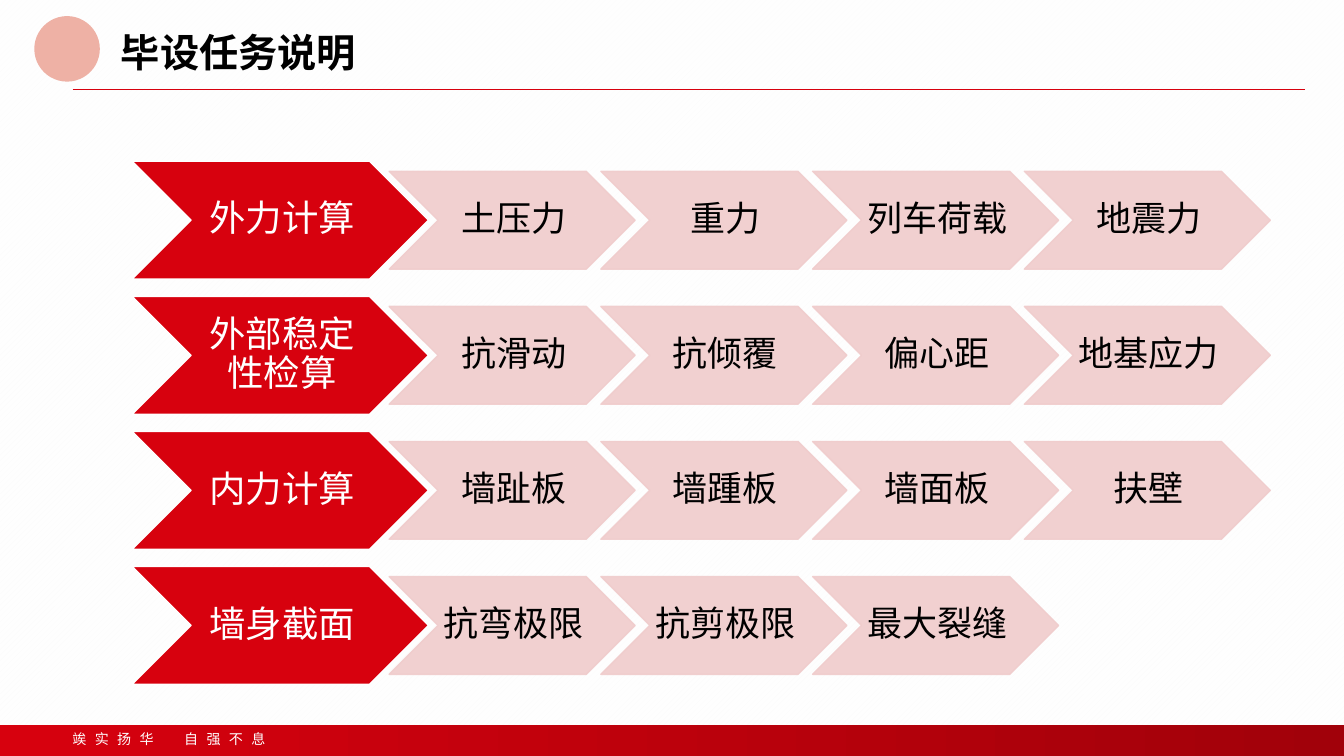
from dataclasses import dataclass

from lxml.etree import SubElement
from pptx import Presentation
from pptx.dml.color import RGBColor
from pptx.enum.dml import MSO_PATTERN
from pptx.enum.shapes import MSO_CONNECTOR, MSO_SHAPE
from pptx.enum.text import MSO_ANCHOR, PP_ALIGN
from pptx.oxml.ns import qn
from pptx.shapes.autoshape import Shape
from pptx.slide import Slide
from pptx.text.text import TextFrame
from pptx.util import Inches, Pt

RED, DARK_RED, PALE_RED, PINK = "D7010E", "A1010A", "F0CCCC", "EEB1A5"
BLACK, WHITE, PALE_GREY = "000000", "FFFFFF", "F2F2F2"
CJK_FONT = "Noto Sans CJK SC"

ROW_TOP, ROW_PITCH = 1.6, 1.34
STEP_LEFT, STEP_PITCH = 3.86, 2.1


@dataclass
class ChevronStyle:
    width: float
    height: float
    fill: str
    line: str
    text: str
    size: int
    left_inset: float
    opacity: int = 100


@dataclass
class Task:
    name: str
    steps: list[str]


TASK_STYLE = ChevronStyle(2.94, 1.17, RED, WHITE, WHITE, 26, 0.04)
STEP_STYLE = ChevronStyle(2.44, 0.97, PALE_RED, PALE_RED, BLACK, 25, 0.03, opacity=90)

TASKS = [
    Task("外力计算", ["土压力", "重力", "列车荷载", "地震力"]),
    Task("外部稳定性检算", ["抗滑动", "抗倾覆", "偏心距", "地基应力"]),
    Task("内力计算", ["墙趾板", "墙踵板", "墙面板", "扶壁"]),
    Task("墙身截面", ["抗弯极限", "抗剪极限", "最大裂缝"]),
]


def rgb(colour: str) -> RGBColor:
    return RGBColor.from_string(colour)


def set_opacity(shape: Shape, *percents: int) -> None:
    """Apply opacities to the shape's colours, in their XML order."""
    colours = shape.element.spPr.iter(qn("a:srgbClr"))
    for colour, percent in zip(colours, percents):
        SubElement(colour, qn("a:alpha"), val=str(percent * 1000))


def write_text(frame: TextFrame, text: str, *, size: int, colour: str,
               font: str = "Arial", bold: bool = False, line_spacing: float = 0.9,
               align: PP_ALIGN = PP_ALIGN.LEFT, tracking: int = 0) -> None:
    para = frame.paragraphs[0]
    para.alignment = align
    para.line_spacing = line_spacing
    span = para.add_run()
    span.text = text
    span.font.name = font
    span.font.size = Pt(size)
    span.font.bold = bold
    span.font.color.rgb = rgb(colour)
    properties = span.font._element
    properties.set("lang", "zh-CN")
    if tracking:
        properties.set("spc", str(tracking * 100))
    SubElement(properties, qn("a:ea"), typeface=CJK_FONT)


def add_plain_shape(page: Slide, kind: MSO_SHAPE, left: float, top: float,
                    width: float, height: float) -> Shape:
    shape = page.shapes.add_shape(
        kind, Inches(left), Inches(top), Inches(width), Inches(height))
    shape.shadow.inherit = False
    shape.line.fill.background()
    return shape


def add_gradient_band(page: Slide, top: float, height: float,
                      colours: tuple[str, str], angle: int) -> Shape:
    band = add_plain_shape(page, MSO_SHAPE.RECTANGLE, 0, top, 13.33, height)
    band.fill.gradient()
    band.fill.gradient_angle = angle
    for stop, colour in zip(band.fill.gradient_stops, colours):
        stop.color.rgb = rgb(colour)
    return band


def add_chevron(page: Slide, text: str, left: float, middle: float,
                style: ChevronStyle) -> None:
    chevron = add_plain_shape(page, MSO_SHAPE.CHEVRON, left,
                              middle - style.height / 2, style.width, style.height)
    chevron.fill.solid()
    chevron.fill.fore_color.rgb = rgb(style.fill)
    chevron.line.color.rgb = rgb(style.line)
    chevron.line.width = Pt(1)
    if style.opacity < 100:
        set_opacity(chevron, style.opacity, style.opacity)
    frame = chevron.text_frame
    frame.word_wrap = True
    frame.vertical_anchor = MSO_ANCHOR.MIDDLE
    frame.margin_left, frame.margin_right = Inches(style.left_inset), 0
    frame.margin_top = frame.margin_bottom = Inches(0.02)
    write_text(frame, text, size=style.size, colour=style.text, align=PP_ALIGN.CENTER)


def add_backdrop(page: Slide) -> None:
    fill = page.background.fill
    fill.patterned()
    fill.pattern = MSO_PATTERN.WIDE_UPWARD_DIAGONAL
    fill.fore_color.rgb = rgb(PALE_GREY)
    fill.back_color.rgb = rgb(WHITE)
    veil = add_gradient_band(page, 0, 7.5, (WHITE, WHITE), 270)
    set_opacity(veil, 85, 70)
    add_gradient_band(page, 7.19, 0.31, (RED, DARK_RED), 0)

    rule = page.shapes.add_connector(
        MSO_CONNECTOR.STRAIGHT, Inches(0.72), Inches(0.89), Inches(12.94), Inches(0.89))
    rule.line.color.rgb = rgb(RED)
    rule.line.width = Pt(0.5)
    SubElement(rule.element.spPr, qn("a:effectLst"))

    dot = add_plain_shape(page, MSO_SHAPE.OVAL, 0.34, 0.16, 0.65, 0.65)
    dot.fill.solid()
    dot.fill.fore_color.rgb = rgb(PINK)

    motto = page.shapes.add_textbox(Inches(0.62), Inches(7.2), Inches(2.25), Inches(0.27))
    motto.text_frame.word_wrap = False
    write_text(motto.text_frame, "竢实扬华　自强不息", size=10, colour=WHITE,
               font=CJK_FONT, line_spacing=1.0, tracking=6)


def add_title(page: Slide) -> None:
    title = page.shapes.title
    title.left, title.top = Inches(1.1), Inches(0.28)
    title.width, title.height = Inches(11.88), Inches(0.89)
    title.text_frame.vertical_anchor = MSO_ANCHOR.TOP
    write_text(title.text_frame, "毕设任务说明", size=28, colour=BLACK, bold=True)
    page.shapes.element.append(title.element)  # in front of the backdrop


def main() -> None:
    deck = Presentation()
    deck.slide_width, deck.slide_height = Inches(13.33), Inches(7.5)
    page = deck.slides.add_slide(deck.slide_layouts.get_by_name("Title Only"))
    add_backdrop(page)
    add_title(page)
    for row, task in enumerate(TASKS):
        middle = ROW_TOP + row * ROW_PITCH + TASK_STYLE.height / 2
        add_chevron(page, task.name, 1.31, middle, TASK_STYLE)
        for column, step in enumerate(task.steps):
            add_chevron(page, step, STEP_LEFT + column * STEP_PITCH, middle, STEP_STYLE)
    deck.save("out.pptx")


if __name__ == "__main__":
    main()
